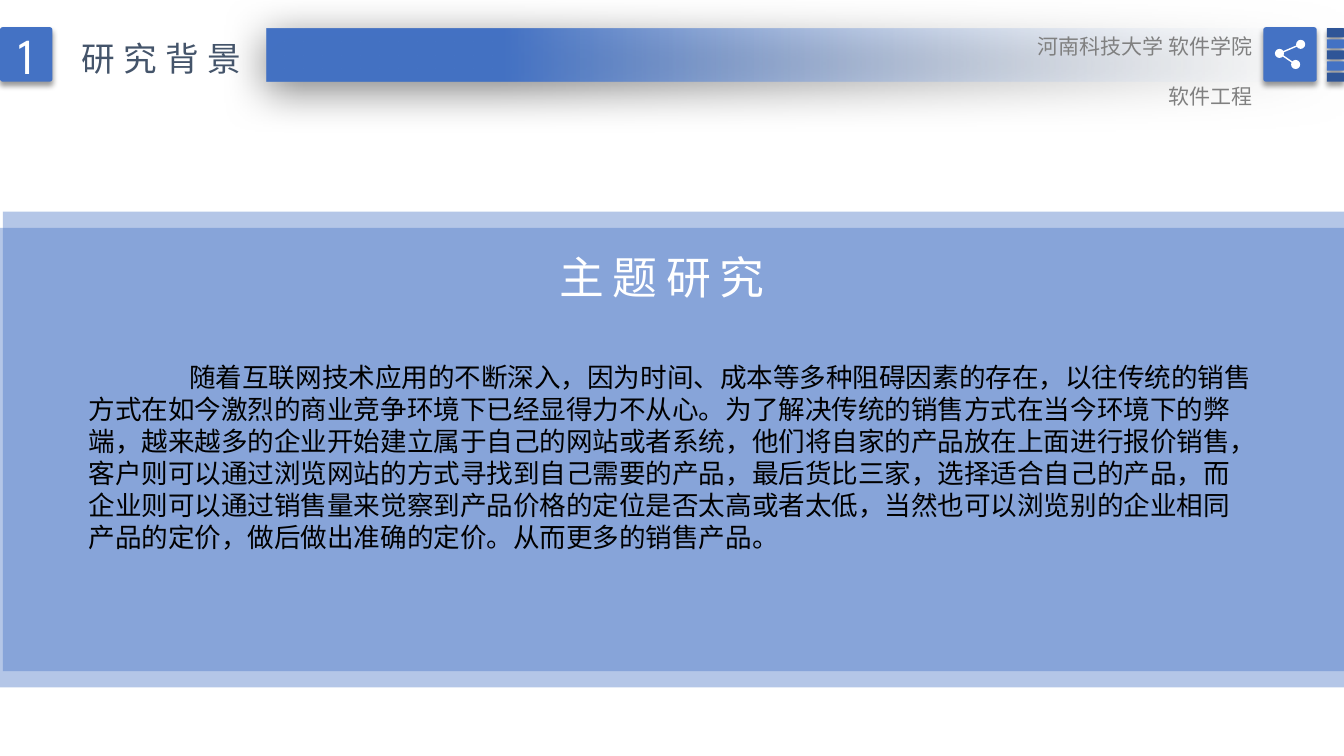
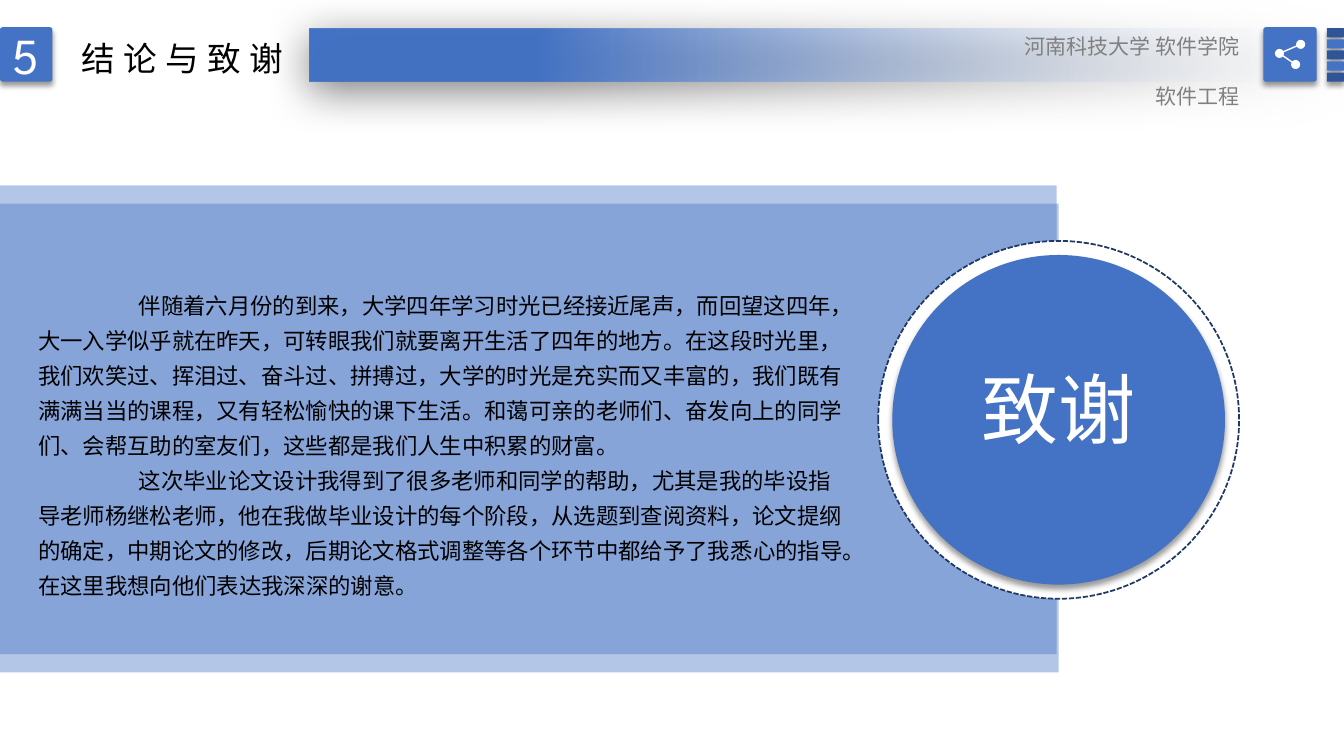
from typing import NamedTuple

from lxml import etree
from pptx import Presentation
from pptx.dml.color import RGBColor
from pptx.enum.dml import MSO_LINE
from pptx.enum.shapes import MSO_CONNECTOR as LINK, MSO_SHAPE as SHAPE
from pptx.enum.text import MSO_ANCHOR as ANCHOR, PP_ALIGN as ALIGN
from pptx.oxml import parse_xml
from pptx.oxml.ns import qn
from pptx.util import Inches, Pt

A_NS = "http://schemas.openxmlformats.org/drawingml/2006/main"
BLUE, DEEP_BLUE, NAVY = "4472C4", "2F5597", "203864"
SLATE, GREY, WHITE, BLACK = "44546A", "808080", "FFFFFF", "000000"
CJK, LATIN, FOOT_LATIN = "Noto Sans CJK SC", "League Spartan", "Cabin"
SOFT_SHADOW = dict(alpha=40, blur=4, distance=3, angle=90)
WIDE_SHADOW = dict(alpha=50, blur=31, distance=6, angle=97)
HEADER_TOP, HEADER_HEIGHT, PAGE_WIDTH = 0.27, 0.54, 13.33
SCHOOL_LINES = ["河南科技大学 软件学院", "软件工程"]
BACKGROUND = [
    "随着互联网技术应用的不断深入，因为时间、成本等多种阻碍因素的存在，以往传统的销售方式在如今激烈的商业竞争环境下已经显得力不从心。为了解决传统的销售方式在当今环境下的弊端，越来越多的企业开始建立属于自己的网站或者系统，他们将自家的产品放在上面进行报价销售，客户则可以通过浏览网站的方式寻找到自己需要的产品，最后货比三家，选择适合自己的产品，而企业则可以通过销售量来觉察到产品价格的定位是否太高或者太低，当然也可以浏览别的企业相同产品的定价，做后做出准确的定价。从而更多的销售产品。",
]
THANKS = [
    "伴随着六月份的到来，大学四年学习时光已经接近尾声，而回望这四年，大一入学似乎就在昨天，可转眼我们就要离开生活了四年的地方。在这段时光里，我们欢笑过、挥泪过、奋斗过、拼搏过，大学的时光是充实而又丰富的，我们既有满满当当的课程，又有轻松愉快的课下生活。和蔼可亲的老师们、奋发向上的同学们、会帮互助的室友们，这些都是我们人生中积累的财富。",
    "这次毕业论文设计我得到了很多老师和同学的帮助，尤其是我的毕设指导老师杨继松老师，他在我做毕业设计的每个阶段，从选题到查阅资料，论文提纲的确定，中期论文的修改，后期论文格式调整等各个环节中都给予了我悉心的指导。在这里我想向他们表达我深深的谢意。",
]


class Box(NamedTuple):
    left: float
    top: float
    width: float
    height: float

    def inches(self):
        return [Inches(length) for length in self]

    def inset(self, gap_x, gap_y):
        return Box(self.left + gap_x, self.top + gap_y,
                   self.width - 2 * gap_x, self.height - 2 * gap_y)


def color(hex_code):
    return RGBColor.from_string(hex_code)


def add_shadow(shape, alpha, blur, distance, angle):
    shape._element.spPr.append(parse_xml(
        f'<a:effectLst xmlns:a="{A_NS}"><a:outerShdw blurRad="{Pt(blur)}" '
        f'dist="{Pt(distance)}" dir="{angle * 60000}" algn="ctr" rotWithShape="0">'
        f'<a:srgbClr val="{BLACK}"><a:alpha val="{alpha * 1000}"/></a:srgbClr>'
        '</a:outerShdw></a:effectLst>'))


def add_block(page, box, fill=None, kind=SHAPE.RECTANGLE, shadow=None, alpha=None):
    shape = page.shapes.add_shape(kind, *box.inches())
    if kind == SHAPE.ROUNDED_RECTANGLE:
        shape.adjustments[0] = 0.05
    if fill:
        shape.fill.solid()
        shape.fill.fore_color.rgb = color(fill)
    if alpha:
        tint = shape._element.spPr.find(qn("a:solidFill"))[0]
        etree.SubElement(tint, qn("a:alpha")).set("val", str(alpha * 1000))
    shape.line.fill.background()
    if shadow:
        add_shadow(shape, **shadow)
    else:
        shape.shadow.inherit = False
    return shape


def write(frame, lines, size, fill, latin=CJK, align=ALIGN.LEFT, spacing=None,
          indent=0, gap=0, tracking=0, wrap=True):
    frame.word_wrap = wrap
    for index, line in enumerate(lines):
        para = frame.add_paragraph() if index else frame.paragraphs[0]
        para.alignment = align
        if spacing:
            para.line_spacing = Pt(spacing)
        if index and gap:
            para.space_before = Pt(gap)
        if indent:
            para._p.get_or_add_pPr().set("indent", str(Inches(indent)))
        span = para.add_run()
        span.text = line
        span.font.size = Pt(size)
        span.font.name = latin
        span.font.color.rgb = color(fill)
        props = span.font._element
        etree.SubElement(props, qn("a:ea")).set("typeface", CJK)
        if tracking:
            props.set("spc", str(tracking * 100))


def add_text(page, box, lines, size, fill, **style):
    frame = page.shapes.add_textbox(*box.inches()).text_frame
    write(frame, lines, size, fill, **style)


def add_heading(page, box, text, size, fill, **style):
    add_text(page, box, [text], size, fill, spacing=1.3 * size, **style)


def add_fading_bar(page, box):
    bar = add_block(page, box, shadow=WIDE_SHADOW)
    bar._element.spPr.insert(2, parse_xml(
        f'<a:gradFill xmlns:a="{A_NS}" rotWithShape="1"><a:gsLst>'
        '<a:gs pos="0"><a:srgbClr val="F7FAFD"><a:alpha val="0"/></a:srgbClr></a:gs>'
        f'<a:gs pos="78000"><a:srgbClr val="{BLUE}"/></a:gs>'
        '</a:gsLst><a:lin ang="10800000" scaled="0"/></a:gradFill>'))


def add_share_button(page, box):
    add_block(page, box, BLUE, SHAPE.ROUNDED_RECTANGLE, SOFT_SHADOW)
    dot = 0.09
    hub, *ends = [(box.left + x, box.top + y)
                  for x, y in [(0.16, 0.26), (0.37, 0.17), (0.32, 0.37)]]
    for end in ends:
        link = page.shapes.add_connector(
            LINK.STRAIGHT, *[Inches(length) for length in hub + end])
        link.line.color.rgb = color(WHITE)
        link.line.width = Pt(1)
        etree.SubElement(link._element.spPr, qn("a:effectLst"))
    for x, y in [hub, *ends]:
        add_block(page, Box(x - dot / 2, y - dot / 2, dot, dot), WHITE, SHAPE.OVAL)


def add_stripes(page, box, count=5, pitch=0.11):
    for index in range(count):
        stripe = Box(box.left, box.top + index * pitch, box.width, 0.09)
        add_block(page, stripe, BLUE if index % 2 else DEEP_BLUE,
                  SHAPE.ROUNDED_RECTANGLE, SOFT_SHADOW)


def add_header(page, box, number, title, title_fill, bar_left, school_right):
    add_fading_bar(page, Box(bar_left, box.top + 0.01,
                             box.width - 0.02 - bar_left, box.height - 0.01))
    badge = add_block(page, Box(box.left, box.top, 0.52, box.height), BLUE,
                      SHAPE.ROUNDED_RECTANGLE, SOFT_SHADOW)
    badge.text_frame.vertical_anchor = ANCHOR.MIDDLE
    write(badge.text_frame, [number], 36, WHITE, latin=LATIN, align=ALIGN.CENTER)
    add_heading(page, Box(box.left + 0.71, box.top + 0.02, 2.28, 0.5), title, 24,
                title_fill, tracking=6, wrap=False)
    right = box.left + box.width
    add_stripes(page, Box(right - 0.17, box.top + 0.01, 0.17, box.height))
    add_share_button(page, Box(right - 0.8, box.top, 0.53, box.height))
    add_text(page, Box(school_right - 2.5, box.top + 0.01, 2.5, 0.62), SCHOOL_LINES,
             15, GREY, latin=FOOT_LATIN, align=ALIGN.RIGHT, spacing=18, gap=18)


def add_panels(page, *boxes):
    for box in boxes:
        add_block(page, box, BLUE, alpha=40)


def add_body(page, box, lines, size, spacing):
    add_text(page, box, lines, size, BLACK, latin=LATIN, spacing=spacing, indent=1)


def add_medallion(page, box, text):
    ring = add_block(page, box, WHITE, SHAPE.OVAL)
    ring.line.color.rgb = color(NAVY)
    ring.line.width = Pt(1.25)
    ring.line.dash_style = MSO_LINE.SQUARE_DOT
    add_block(page, box.inset(0.14, 0.14), BLUE, SHAPE.OVAL, SOFT_SHADOW)
    add_heading(page, Box(box.left + 0.77, box.top + 1.07, 2.04, 1.08), text, 55,
                WHITE, align=ALIGN.CENTER)


def build_background(page, header):
    add_panels(page, Box(0, 2.26, PAGE_WIDTH, 4.56), Box(0.03, 2.1, 13.3, 4.56))
    add_header(page, header, "1", "研究背景", SLATE, 2.64, 12.52)
    add_heading(page, Box(1.73, 2.38, 9.67, 1.2), "主题研究", 32, WHITE,
                align=ALIGN.CENTER, tracking=6)
    add_body(page, Box(0.78, 3.53, 11.78, 2.02), BACKGROUND, 19, 22.9)


def build_thanks(page, header):
    add_panels(page, Box(0, 2.02, 10.5, 4.65), Box(0, 1.84, 10.48, 4.65))
    add_medallion(page, Box(8.71, 2.39, 3.58, 3.55), "致谢")
    add_body(page, Box(0.28, 2.77, 8.27, 3.25), THANKS, 16, 25)
    add_header(page, header, "5", "结论与致谢", BLACK, 3.07, 12.39)


def main():
    deck = Presentation()
    deck.slide_width, deck.slide_height = Inches(PAGE_WIDTH), Inches(7.5)
    header = Box(0, HEADER_TOP, PAGE_WIDTH, HEADER_HEIGHT)
    for build in (build_background, build_thanks):
        build(deck.slides.add_slide(deck.slide_layouts[6]), header)
    deck.save("out.pptx")


if __name__ == "__main__":
    main()
